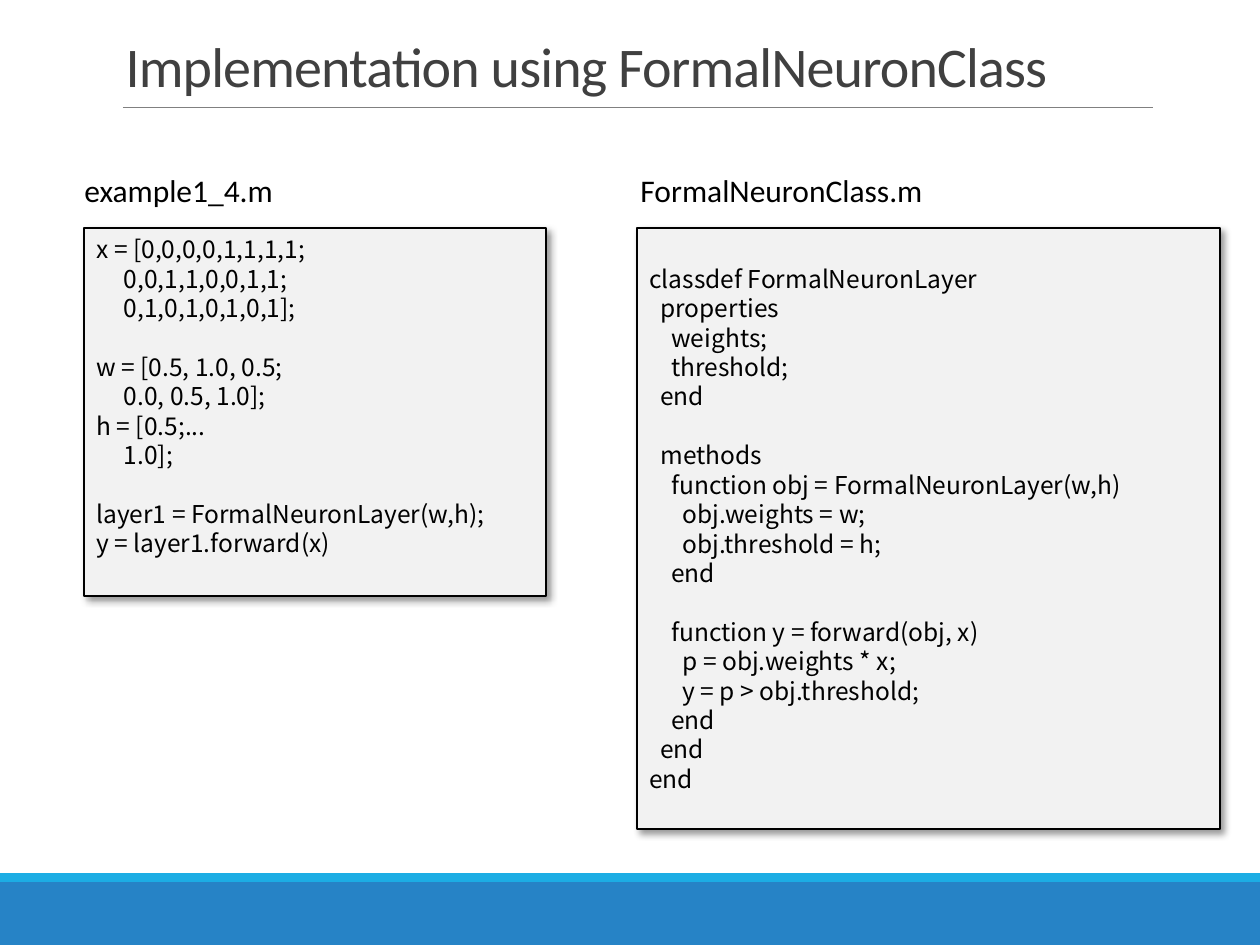
from dataclasses import dataclass

from lxml import etree
from pptx import Presentation
from pptx.dml.color import RGBColor
from pptx.enum.shapes import MSO_CONNECTOR, MSO_SHAPE
from pptx.enum.text import MSO_ANCHOR, MSO_AUTO_SIZE, PP_ALIGN
from pptx.oxml import parse_xml
from pptx.oxml.ns import nsdecls, qn
from pptx.util import Emu, Pt

RECT = MSO_SHAPE.RECTANGLE
STRAIGHT = MSO_CONNECTOR.STRAIGHT
TOP, MIDDLE, BOTTOM = MSO_ANCHOR.TOP, MSO_ANCHOR.MIDDLE, MSO_ANCHOR.BOTTOM
LEFT = PP_ALIGN.LEFT
NO_FIT, GROW = MSO_AUTO_SIZE.NONE, MSO_AUTO_SIZE.SHAPE_TO_FIT_TEXT

EMU_PER_PX = 914400 / 126
SLIDE_W, SLIDE_H = 1260, 945
CODE_SIZE = 14
CODE_PITCH = 16.8   # line height in points
CODE_SPACE = 3.14   # width of one indent column in points

SHADOW = f"""<a:effectLst {nsdecls("a")}>
  <a:outerShdw blurRad="50800" dist="38100" dir="2700000" algn="tl" rotWithShape="0">
    <a:srgbClr val="000000"><a:alpha val="40000"/></a:srgbClr>
  </a:outerShdw>
</a:effectLst>"""

EXAMPLE_CODE = """\
x = [0,0,0,0,1,1,1,1;
     0,0,1,1,0,0,1,1;
     0,1,0,1,0,1,0,1];

w = [0.5, 1.0, 0.5;
     0.0, 0.5, 1.0];
h = [0.5;...
     1.0];

layer1 = FormalNeuronLayer(w,h);
y = layer1.forward(x)"""

CLASS_CODE = """\
classdef FormalNeuronLayer
  properties
    weights;
    threshold;
  end

  methods
    function obj = FormalNeuronLayer(w,h)
      obj.weights = w;
      obj.threshold = h;
    end

    function y = forward(obj, x)
      p = obj.weights * x;
      y = p > obj.threshold;
    end
  end
end"""


@dataclass(frozen=True)
class Box:
    x: int
    y: int
    w: int
    h: int

    def emu(self) -> list[Emu]:
        return [px(v) for v in (self.x, self.y, self.w, self.h)]


@dataclass(frozen=True)
class Listing:
    file_name: str
    label: Box
    panel: Box
    code: str
    anchor: MSO_ANCHOR


LISTINGS = [
    Listing("FormalNeuronClass.m", Box(628, 165, 310, 50),
            Box(637, 228, 583, 601), CLASS_CODE, MIDDLE),
    Listing("example1_4.m", Box(72, 165, 217, 50),
            Box(84, 228, 462, 368), EXAMPLE_CODE, TOP),
]


def px(value: int) -> Emu:
    return Emu(round(value * EMU_PER_PX))


def rgb(value: str) -> RGBColor:
    return RGBColor.from_string(value)


def add_run(p, text: str, size: float, font: str, color: str):
    r = p.add_run()
    r.text = text
    r.font.size = Pt(size)
    r.font.name = font
    r.font.color.rgb = rgb(color)
    return r


def add_rect(s, box: Box, fill: str):
    sp = s.shapes.add_shape(RECT, *box.emu())
    sp.shadow.inherit = False
    sp.fill.solid()
    sp.fill.fore_color.rgb = rgb(fill)
    sp.line.fill.background()
    return sp


def add_rule(s, x1: int, x2: int, y: int) -> None:
    line = s.shapes.add_connector(STRAIGHT, px(x1), px(y), px(x2), px(y))
    line.line.color.rgb = rgb("808080")
    line.line.width = Pt(0.5)
    etree.SubElement(line._element.spPr, qn("a:effectLst"))


def set_title(s, text: str, box: Box) -> None:
    sp = s.shapes.title
    sp.left, sp.top, sp.width, sp.height = box.emu()
    tf = sp.text_frame
    tf.auto_size = NO_FIT
    tf.vertical_anchor = BOTTOM
    p = tf.paragraphs[0]
    p.alignment = LEFT
    p.line_spacing = 0.85
    r = add_run(p, text, 32, "Calibri", "404040")
    r.font._element.set("spc", "-50")


def add_code(tf, code: str) -> None:
    """One paragraph per code line; indents and empty lines become spacing."""
    p = tf.paragraphs[0]
    skipped = 0
    for i, line in enumerate(code.splitlines()):
        text = line.lstrip()
        if not text:
            skipped += 1
            continue
        if i:
            p = tf.add_paragraph()
        p.alignment = LEFT
        p.line_spacing = Pt(CODE_PITCH)
        p.space_before = Pt(CODE_PITCH * skipped)
        indent = Pt(CODE_SPACE * (len(line) - len(text)))
        p._p.get_or_add_pPr().set("marL", str(indent))
        add_run(p, text, CODE_SIZE, "Noto Sans CJK JP", "000000")
        skipped = 0


def add_listing(s, item: Listing) -> None:
    # Code panel
    sp = add_rect(s, item.panel, "F2F2F2")
    sp.line.color.rgb = rgb("000000")
    sp.line.width = Pt(1)
    sp_pr = sp._element.spPr
    sp_pr.replace(sp_pr.find(qn("a:effectLst")), parse_xml(SHADOW))
    tf = sp.text_frame
    tf.word_wrap = True
    tf.vertical_anchor = item.anchor
    add_code(tf, item.code)

    # File name above it
    tf = s.shapes.add_textbox(*item.label.emu()).text_frame
    tf.word_wrap = False
    tf.auto_size = GROW
    add_run(tf.paragraphs[0], item.file_name, 18, "Calibri", "000000")


def main() -> None:
    prs = Presentation()
    prs.slide_width, prs.slide_height = px(SLIDE_W), px(SLIDE_H)
    s = prs.slides.add_slide(prs.slide_layouts[5])

    # Footer bands and title
    add_rect(s, Box(0, 882, SLIDE_W, 63), "2683C6")
    add_rect(s, Box(0, 873, SLIDE_W, 9), "1CADE4")
    add_rule(s, 123, 1153, 107)
    set_title(s, "Implementation using FormalNeuronClass", Box(113, 23, 1040, 82))

    # Code listings
    for item in LISTINGS:
        add_listing(s, item)

    prs.save("out.pptx")


if __name__ == "__main__":
    main()
